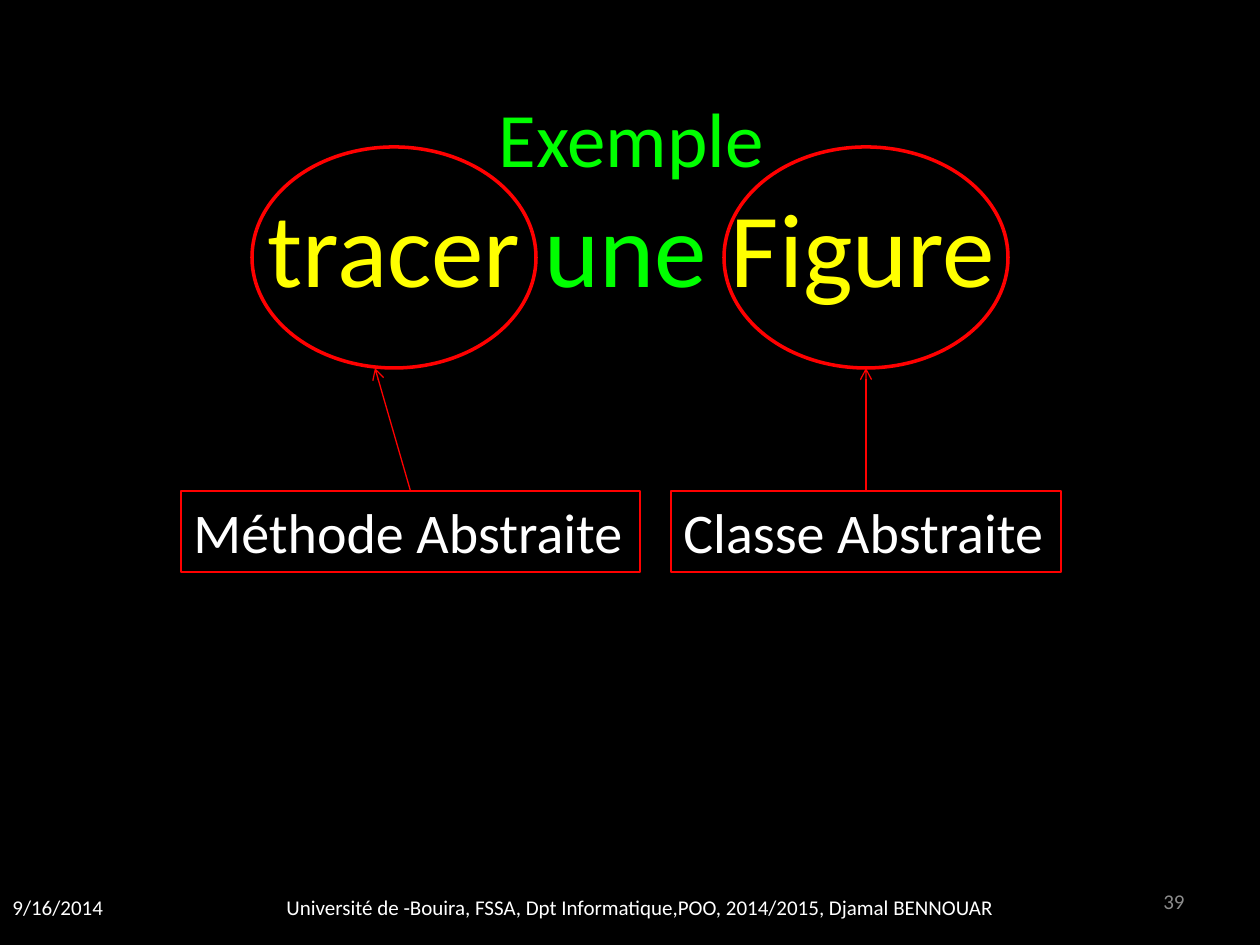
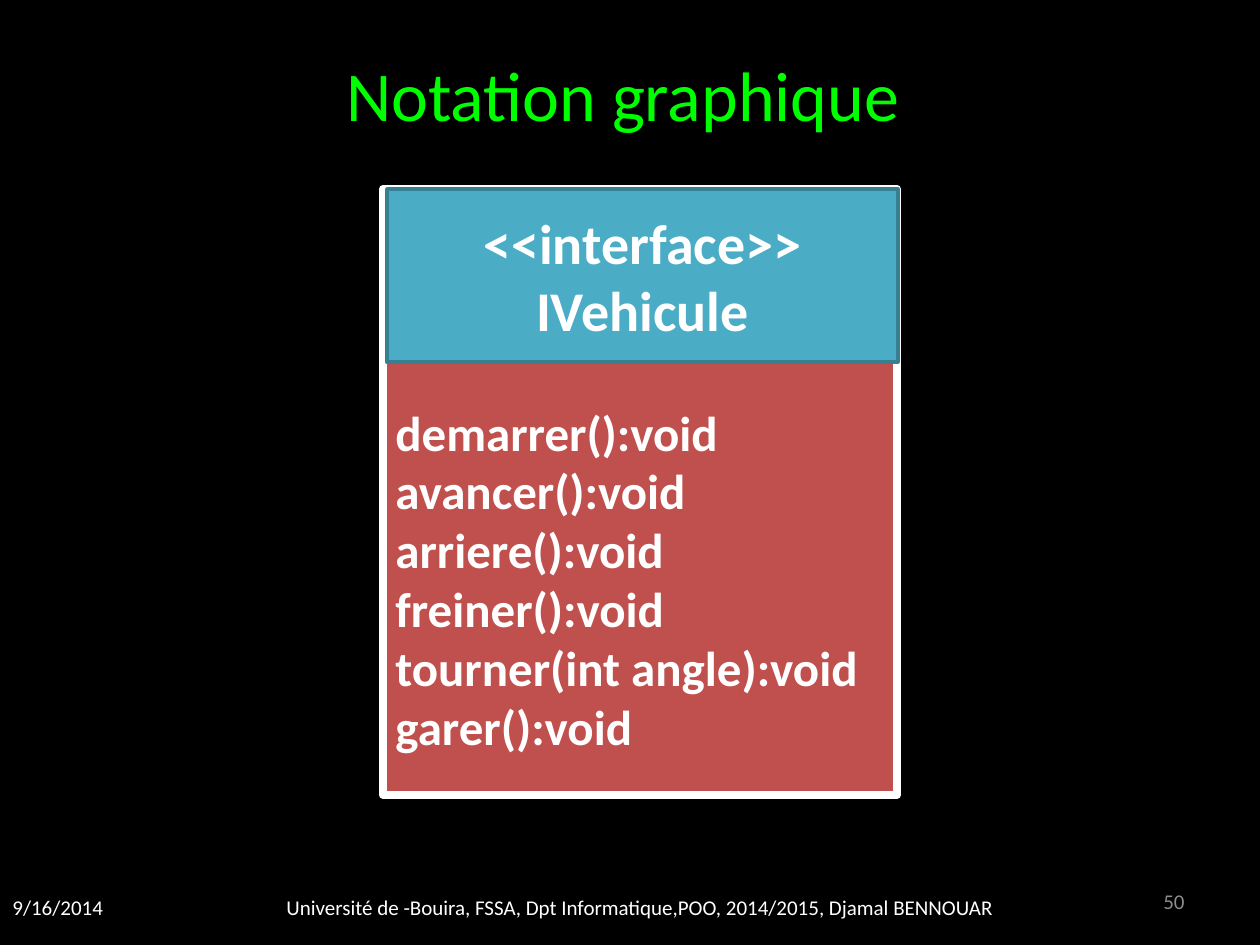
import pptx
import pptx.dml.color
import pptx.enum.shapes
import pptx.enum.text
import pptx.oxml
import pptx.oxml.ns
import pptx.util

COLORS = {
    "background": "000000", "text": "FFFFFF", "title": "00FF00",
    "keyword": "FFFF00", "accent": "FF0000", "number": "8C8C8C",
    "header": "4BACC6", "header_edge": "377F92",
    "methods": "C0504D", "methods_edge": "8E3B39",
}
FONT = "Calibri"
PX = 914400 / 126

DATE = "9/16/2014"
COURSE = "Université de -Bouira, FSSA, Dpt Informatique,POO, 2014/2015, Djamal BENNOUAR"

EXAMPLE = {
    "number": "39",
    "heading": "Exemple",
    "phrase": [("tracer", "keyword"), (" une ", "title"), ("Figure", "keyword")],
    # label, box left, box width, ellipse left, arrow tip x
    "callouts": [
        ("Classe Abstraite", 671, 390, 724, 866),
        ("Méthode Abstraite", 181, 459, 252, 375),
    ],
}
NOTATION = {
    "number": "50",
    "heading": "Notation graphique",
    "header": ["<<interface>>", "IVehicule"],
    "methods": [
        "demarrer():void", "avancer():void", "arriere():void",
        "freiner():void", "tourner(int angle):void", "garer():void",
    ],
}

SHAPE = pptx.enum.shapes.MSO_SHAPE
ALIGN = pptx.enum.text.PP_ALIGN
ANCHOR = pptx.enum.text.MSO_ANCHOR


def px(*lengths):
    return [round(length * PX) for length in lengths]


def rgb(name):
    return pptx.dml.color.RGBColor.from_string(COLORS[name])


def set_font(font, size, color, bold=False):
    font.name = FONT
    font.size = pptx.util.Pt(size)
    font.bold = bold
    font.color.rgb = rgb(color)


def write(frame, lines, size, color="text", align=ALIGN.LEFT,
          anchor=ANCHOR.TOP, bold=False, wrap=True):
    frame.word_wrap = wrap
    frame.vertical_anchor = anchor
    for index, line in enumerate(lines):
        paragraph = frame.add_paragraph() if index else frame.paragraphs[0]
        paragraph.text = line
        paragraph.alignment = align
        set_font(paragraph.font, size, color, bold)


def add_text(slide, box, lines, size, **style):
    frame = slide.shapes.add_textbox(*px(*box)).text_frame
    write(frame, lines, size, **style)
    return frame


def add_outline(slide, kind, box, line, width, fill=None):
    shape = slide.shapes.add_shape(kind, *px(*box))
    shape.shadow.inherit = False
    if fill:
        shape.fill.solid()
        shape.fill.fore_color.rgb = rgb(fill)
    else:
        shape.fill.background()
    shape.line.color.rgb = rgb(line)
    shape.line.width = pptx.util.Pt(width)
    return shape


def add_arrow(slide, label_box, tip):
    """Arrow from the middle of the label's top side to the tip."""
    arrow = slide.shapes.add_connector(
        pptx.enum.shapes.MSO_CONNECTOR.STRAIGHT, 0, 0, *px(*tip))
    arrow.begin_connect(label_box, 0)
    arrow.line.color.rgb = rgb("accent")
    arrow.line.width = pptx.util.Pt(0.75)
    namespace = pptx.oxml.ns.nsdecls("a")
    arrow.line._get_or_add_ln().append(
        pptx.oxml.parse_xml(f'<a:tailEnd {namespace} type="arrow"/>'))
    arrow._element.spPr.append(pptx.oxml.parse_xml(f"<a:effectLst {namespace}/>"))


def add_slide(deck, number):
    """Blank slide with the shared background and footers."""
    slide = deck.slides.add_slide(deck.slide_layouts[6])
    slide.background.fill.solid()
    slide.background.fill.fore_color.rgb = rgb("background")
    for box, text, color, align in [
        ((0, 882, 158, 50), DATE, "text", ALIGN.LEFT),
        ((136, 882, 1008, 50), COURSE, "text", ALIGN.CENTER),
        ((903, 876, 294, 50), number, "number", ALIGN.RIGHT),
    ]:
        add_text(slide, box, [text], 12, color=color, align=align,
                 anchor=ANCHOR.MIDDLE)
    return slide


def add_title(slide, box, heading, size):
    return add_text(slide, box, [heading], size, color="title", align=ALIGN.CENTER)


def build_example(deck):
    slide = add_slide(deck, EXAMPLE["number"])
    title = add_title(slide, (33, 84, 1197, 242), EXAMPLE["heading"], 44)
    phrase = title.add_paragraph()
    phrase.alignment = ALIGN.CENTER
    for word, color in EXAMPLE["phrase"]:
        run = phrase.add_run()
        run.text = word
        set_font(run.font, 60, color)

    ellipse_top, ellipse_height = 147, 221
    for label, left, width, ellipse_left, tip_x in EXAMPLE["callouts"]:
        add_outline(slide, SHAPE.OVAL,
                    (ellipse_left, ellipse_top, 284, ellipse_height), "accent", 2)
        label_box = add_outline(slide, SHAPE.RECTANGLE, (left, 491, width, 81),
                                "accent", 0.75)
        write(label_box.text_frame, [label], 32, wrap=False)
        add_arrow(slide, label_box, (tip_x, ellipse_top + ellipse_height))


def build_notation(deck):
    slide = add_slide(deck, NOTATION["number"])
    top, header_height, methods_height = 189, 173, 433
    methods = add_outline(
        slide, SHAPE.RECTANGLE, (383, top + header_height, 512, methods_height),
        "methods_edge", 2, "methods")
    write(methods.text_frame, NOTATION["methods"], 28, bold=True,
          anchor=ANCHOR.MIDDLE)
    add_outline(slide, SHAPE.RECTANGLE,
                (383, top, 514, header_height + methods_height), "text", 4.5)
    header = add_outline(slide, SHAPE.RECTANGLE, (387, top, 511, header_height),
                         "header_edge", 2, "header")
    write(header.text_frame, NOTATION["header"], 32, bold=True,
          align=ALIGN.CENTER, anchor=ANCHOR.MIDDLE)
    add_title(slide, (32, 45, 1182, 97), NOTATION["heading"], 40)


def main():
    deck = pptx.Presentation()
    deck.slide_width, deck.slide_height = px(1260, 945)
    build_example(deck)
    build_notation(deck)
    deck.save("out.pptx")


if __name__ == "__main__":
    main()
